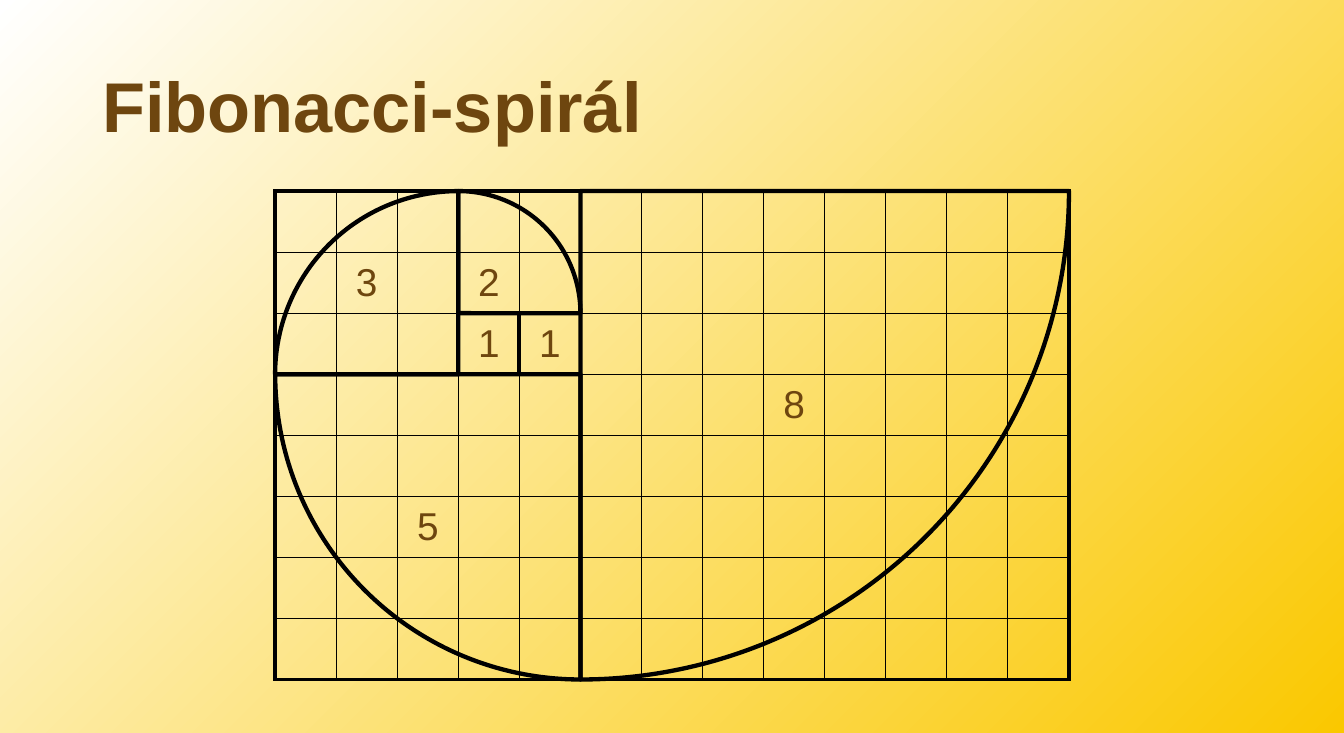
from lxml import etree
from pptx import Presentation
from pptx.dml.color import RGBColor
from pptx.enum.shapes import MSO_SHAPE
from pptx.enum.text import MSO_ANCHOR, PP_ALIGN
from pptx.oxml.ns import qn
from pptx.util import Pt

BROWN = RGBColor(0x6E, 0x46, 0x0F)
GOLD = RGBColor(0xFA, 0xC8, 0x00)
WHITE = RGBColor(0xFF, 0xFF, 0xFF)
BLACK = RGBColor(0, 0, 0)

COLUMNS, ROWS = 13, 8
CELL = 42.5
LEFT, TOP = 191.5, 133
THICK, THIN = 3, 0.5

# Each square: column, row, size, column and row of its number
SQUARES = [
    (0, 0, 3, 1, 1),
    (3, 0, 2, 3, 1),
    (3, 2, 1, 3, 2),
    (4, 2, 1, 4, 2),
    (0, 3, 5, 2, 5),
    (5, 0, 8, 8, 3),
]
# Each quarter circle: column and row of its centre, radius, rotation
QUARTERS = [(5, 0, 8, 90), (3, 2, 2, 0), (3, 3, 3, 270), (5, 3, 5, 180)]


def style_text(paragraph, size, bold=False):
    """Set the font of a paragraph."""
    font = paragraph.font
    font.name, font.size, font.bold = "Arial", Pt(size), bold
    font.color.rgb = BROWN


def add_border(cell, side, width):
    """Draw one side (L, R, T or B) of a table cell."""
    line = etree.SubElement(cell._tc.get_or_add_tcPr(), qn("a:ln" + side), w=str(Pt(width)))
    fill = etree.SubElement(line, qn("a:solidFill"))
    etree.SubElement(fill, qn("a:srgbClr"), val=str(BLACK))


prs = Presentation()
prs.slide_width, prs.slide_height = Pt(935.43), Pt(510.24)
slide = prs.slides.add_slide(prs.slide_layouts[5])

background = slide.background.fill
background.gradient()
background.gradient_angle = 135
for stop, color in zip(background.gradient_stops, (GOLD, WHITE)):
    stop.color.rgb = color

title = slide.shapes.title
title.left, title.top, title.width, title.height = Pt(64), Pt(27), Pt(807), Pt(98.6)
title.text_frame.text = "Fibonacci-spirál"
title.text_frame.vertical_anchor = MSO_ANCHOR.MIDDLE
heading = title.text_frame.paragraphs[0]
heading.alignment = PP_ALIGN.LEFT
heading.line_spacing = 0.9
style_text(heading, 49, bold=True)

grid = slide.shapes.add_table(
    ROWS, COLUMNS, Pt(LEFT), Pt(TOP), Pt(COLUMNS * CELL), Pt(ROWS * CELL)
).table
grid.first_row = grid.horz_banding = False
for column in grid.columns:
    column.width = Pt(CELL)
for row in grid.rows:
    row.height = Pt(CELL)

for left, top, size, number_column, number_row in SQUARES:
    last = size - 1
    for x in range(size):
        for y in range(size):
            cell = grid.cell(top + y, left + x)
            edges = {"L": x == 0, "R": x == last, "T": y == 0, "B": y == last}
            for side, on_edge in edges.items():
                add_border(cell, side, THICK if on_edge else THIN)
            cell.fill.background()
    cell = grid.cell(number_row, number_column)
    cell.text = str(size)
    cell.vertical_anchor = MSO_ANCHOR.MIDDLE
    number = cell.text_frame.paragraphs[0]
    number.alignment = PP_ALIGN.CENTER
    style_text(number, 27)

for column, row, radius, rotation in QUARTERS:
    diameter = Pt(2 * radius * CELL)
    quarter = slide.shapes.add_shape(
        MSO_SHAPE.PIE,
        Pt(LEFT + (column - radius) * CELL),
        Pt(TOP + (row - radius) * CELL),
        diameter,
        diameter,
    )
    quarter.adjustments[0] = 162  # 270 degrees
    quarter.adjustments[1] = 0
    quarter.rotation = rotation
    quarter.shadow.inherit = False
    quarter.fill.background()
    quarter.line.color.rgb = BLACK
    quarter.line.width = Pt(THICK)

prs.save("out.pptx")
